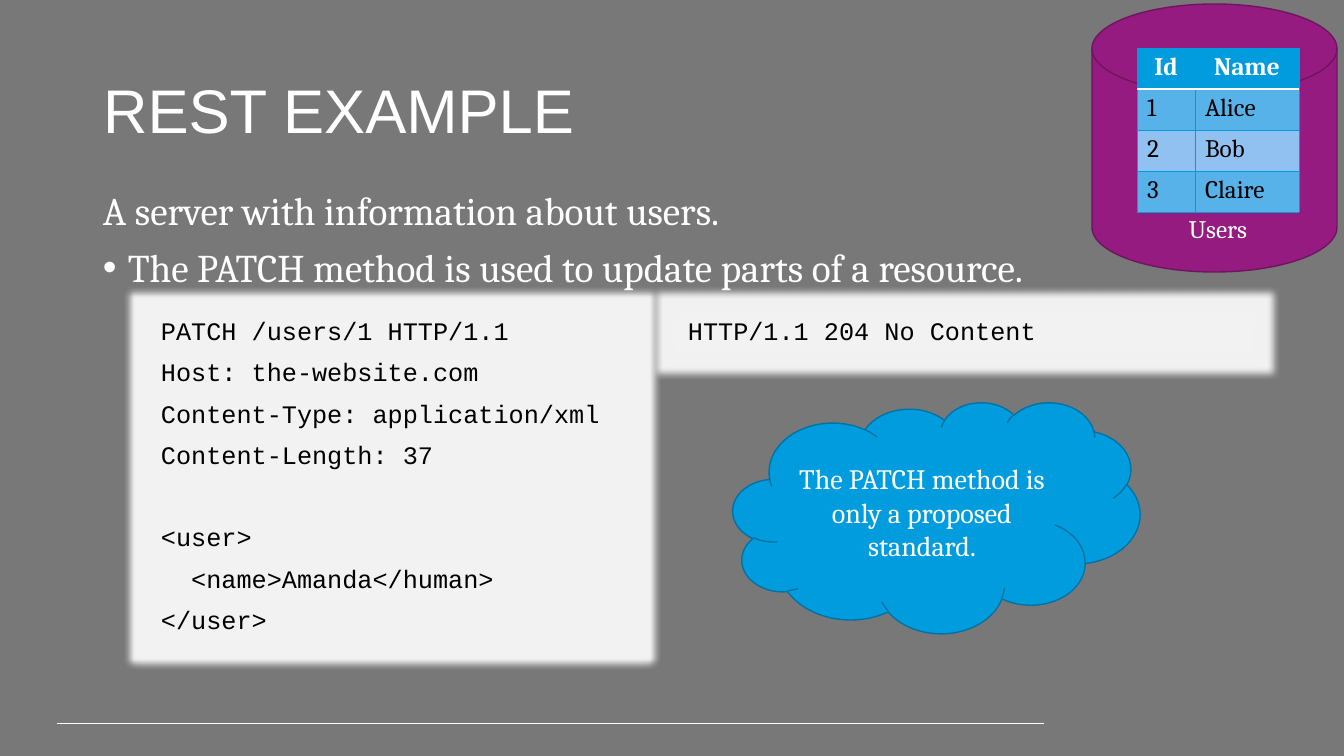
from lxml import etree
from pptx import Presentation
from pptx.dml.color import RGBColor
from pptx.enum.shapes import MSO_CONNECTOR, MSO_SHAPE
from pptx.enum.text import MSO_ANCHOR, MSO_AUTO_SIZE, PP_ALIGN
from pptx.oxml.ns import qn
from pptx.util import Pt

EMU_PER_PIXEL = 914400 / 100.8
COLORS = {
    "background": "787878", "white": "FFFFFF", "black": "000000",
    "code": "F2F2F2", "blue": "009CDE", "blue edge": "0073A4",
    "purple": "961B81", "purple edge": "6F145F",
    "odd row": "56B2E9", "even row": "90C1F0",
}


def px(value):
    return round(value * EMU_PER_PIXEL)


def place(box):
    return [px(value) for value in box]


def color(name):
    return RGBColor.from_string(COLORS[name])


def child(parent, tag, **attributes):
    return etree.SubElement(parent, qn(tag), attributes)


def write(frame, lines, font, size, ink, align=PP_ALIGN.LEFT, spaced=True):
    frame.word_wrap = True
    for index, line in enumerate(lines):
        para = frame.paragraphs[0] if index == 0 else frame.add_paragraph()
        para.text = line
        para.alignment = align
        para.font.name, para.font.size = font, Pt(size)
        para.font.color.rgb = color(ink)
        if spaced:
            para.line_spacing, para.space_before = 0.9, Pt(10)


def add_panel(page, kind, box, fill, edge=None):
    shape = page.shapes.add_shape(kind, *place(box))
    shape.shadow.inherit = False
    shape.fill.solid()
    shape.fill.fore_color.rgb = color(fill)
    if edge:
        shape.line.color.rgb, shape.line.width = color(edge), Pt(1)
    else:
        shape.line.fill.background()
    return shape


def add_footer_rule(page, left, top, width):
    rule = page.shapes.add_connector(
        MSO_CONNECTOR.STRAIGHT, px(left), px(top), px(left + width), px(top))
    rule.line.color.rgb, rule.line.width = color("white"), Pt(0.75)
    child(rule._element.spPr, "a:effectLst")


def add_title(page, box, text):
    title = page.shapes.title
    title.left, title.top, title.width, title.height = place(box)
    title.text_frame.vertical_anchor = MSO_ANCHOR.MIDDLE
    write(title.text_frame, [text], "Arial", 44, "white")
    title.text_frame.paragraphs[0].space_before = Pt(0)


def add_body(page, box, lines):
    frame = page.shapes.add_textbox(*place(box)).text_frame
    write(frame, lines, "Cambria", 28, "white")
    # The last line is a bullet with a hanging indent
    props = frame.paragraphs[-1]._p.get_or_add_pPr()
    props.set("marL", str(px(25)))
    props.set("indent", str(px(-25)))
    child(props, "a:buFont", typeface="Arial")
    child(props, "a:buChar", char="•")


def add_code(page, box, lines):
    panel = add_panel(page, MSO_SHAPE.RECTANGLE, box, "code")
    frame = panel.text_frame
    frame.vertical_anchor = MSO_ANCHOR.TOP
    write(frame, lines, "Courier New", 18, "black")
    frame.auto_size = MSO_AUTO_SIZE.SHAPE_TO_FIT_TEXT
    # Narrow soft glow that stays clear of the bullet and the other panel
    effects = panel._element.spPr.find(qn("a:effectLst"))
    glow = child(effects, "a:glow", rad=str(px(14)))
    child(glow, "a:srgbClr", val=COLORS["code"])
    return frame


def add_cloud(page, box, text):
    cloud = add_panel(page, MSO_SHAPE.CLOUD, box, "blue", "blue edge")
    cloud.text_frame.vertical_anchor = MSO_ANCHOR.MIDDLE
    write(cloud.text_frame, [text], "Cambria", 20, "white", PP_ALIGN.CENTER, False)


def set_border(cell, side, name, width):
    line = child(cell._tc.get_or_add_tcPr(), f"a:{side}", w=str(Pt(width)))
    fill = child(line, "a:solidFill")
    child(fill, "a:srgbClr", val=COLORS[name])


def add_table(page, left, top, widths, row_height, rows):
    box = (left, top, sum(widths), row_height * len(rows))
    table = page.shapes.add_table(len(rows), len(widths), *place(box)).table
    for column, width in zip(table.columns, widths):
        column.width = px(width)
    for r, values in enumerate(rows):
        table.rows[r].height = px(row_height)
        header = r == 0
        fill = "blue" if header else ("odd row" if r % 2 else "even row")
        for c, value in enumerate(values):
            cell = table.cell(r, c)
            write(cell.text_frame, [value], "Cambria", 18,
                  "white" if header else "black",
                  PP_ALIGN.CENTER if header else PP_ALIGN.LEFT, False)
            cell.text_frame.paragraphs[0].font.bold = header
            # Borders come before the fill in the cell properties
            for side in ("lnL", "lnR", "lnT", "lnB"):
                if (r, side) == (1, "lnT"):
                    continue  # the header draws this edge
                white = header and side == "lnB"
                set_border(cell, side, "white" if white else "blue", 1 if white else 0.5)
            cell.fill.solid()
            cell.fill.fore_color.rgb = color(fill)


def add_database(page, box, name, rows):
    left, top, width, height = box
    add_panel(page, MSO_SHAPE.FLOWCHART_MAGNETIC_DISK, box, "purple", "purple edge")
    add_table(page, left + 45, top + 44, (58, 104), 41, rows)
    label_box = (left + 65, top + 204, width - 123, 40)
    label = page.shapes.add_textbox(*place(label_box))
    write(label.text_frame, [name], "Cambria", 18, "white", PP_ALIGN.CENTER, False)


def build_slide(deck):
    page = deck.slides.add_slide(deck.slide_layouts[5])
    page.background.fill.solid()
    page.background.fill.fore_color.rgb = color("background")
    add_footer_rule(page, 57, 724, 987)
    add_title(page, (93, 41, 1159, 146), "REST EXAMPLE")
    add_body(page, (93, 187, 1200, 110), [
        "A server with information about users.",
        "The PATCH method is used to update parts of a resource."])

    # Request and response
    request = add_code(page, (151, 314, 483, 329), [
        "PATCH /users/1 HTTP/1.1", "Host: the-website.com",
        "Content-Type: application/xml", "Content-Length: 37",
        "<user>", "  <name>Amanda</human>", "</user>"])
    request.paragraphs[4].space_before = Pt(39.5)  # gap between headers and content
    add_code(page, (678, 314, 574, 38), ["HTTP/1.1 204 No Content"])

    add_cloud(page, (733, 402, 407, 231), "The PATCH method is only a proposed standard.")
    add_database(page, (1092, 4, 245, 268), "Users", [
        ("Id", "Name"), ("1", "Alice"), ("2", "Bob"), ("3", "Claire")])


deck = Presentation()
deck.slide_width, deck.slide_height = px(1344), px(756)
build_slide(deck)
deck.save("out.pptx")
